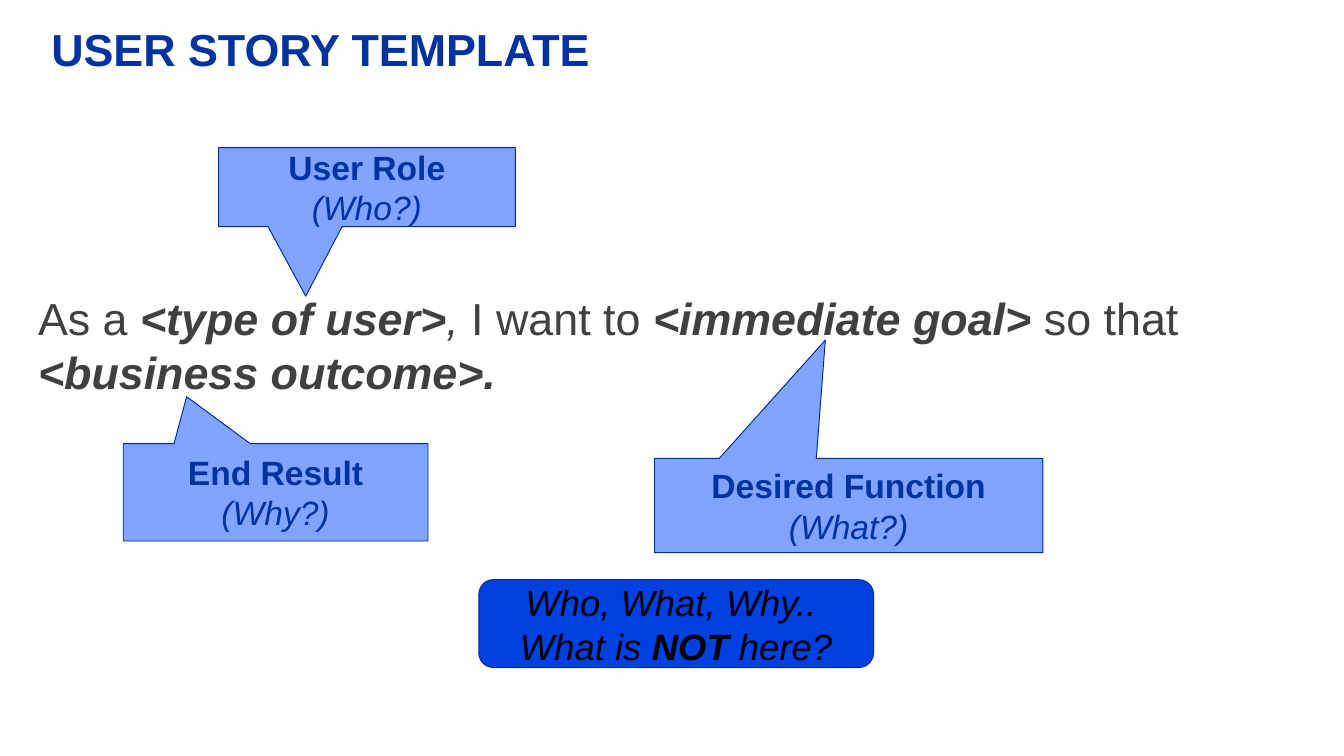
from dataclasses import dataclass

from pptx import Presentation
from pptx.dml.color import RGBColor
from pptx.enum.shapes import MSO_SHAPE
from pptx.enum.text import MSO_ANCHOR, PP_ALIGN
from pptx.shapes.autoshape import Shape
from pptx.slide import Slide
from pptx.text.text import TextFrame
from pptx.util import Cm, Pt

NAVY = RGBColor(0x00, 0x33, 0xA0)
OUTLINE = RGBColor(0x00, 0x2A, 0x96)
PALE_BLUE = RGBColor(0x80, 0xA4, 0xFF)
BRIGHT_BLUE = RGBColor(0x00, 0x3F, 0xE0)
GREY = RGBColor(0x40, 0x40, 0x40)
BLACK = RGBColor(0x00, 0x00, 0x00)

PLAIN = {"bold": False, "italic": False}
BOLD = {"bold": True, "italic": False}
ITALIC = {"bold": False, "italic": True}
BOLD_ITALIC = {"bold": True, "italic": True}

Box = tuple[float, float, float, float]
Runs = list[tuple[str, dict[str, bool]]]


@dataclass(frozen=True)
class Callout:
    """A labelled pointer: box in centimetres, tip relative to its centre."""

    heading: str
    question: str
    box: Box
    tip: tuple[float, float]


CALLOUTS = [
    Callout("User Role", "(Who?)", (4.13, 2.79, 5.61, 1.49), (-0.206, 1.383)),
    Callout("Desired Function", "(What?)", (12.37, 8.66, 7.34, 1.78), (-0.06, -1.756)),
    Callout("End Result", "(Why?)", (2.33, 8.38, 5.76, 1.84), (-0.292, -0.982)),
]


def write_runs(frame: TextFrame, runs: Runs, size: float, color: RGBColor,
               **paragraph_format: object) -> None:
    """Fill the first paragraph; a newline run becomes a line break."""
    frame.word_wrap = True
    paragraph = frame.paragraphs[0]
    for name, value in paragraph_format.items():
        setattr(paragraph, name, value)
    for text, style in runs:
        if text == "\n":
            paragraph.add_line_break()
            continue
        run = paragraph.add_run()
        run.text = text
        run.font.color.rgb = color
        for name, value in {"name": "Arial", "size": Pt(size), **style}.items():
            setattr(run.font, name, value)


def add_text(slide: Slide, box: Box, top_margin: float = 0) -> TextFrame:
    """Add a top-anchored text box without side margins and return its frame."""
    frame = slide.shapes.add_textbox(*map(Cm, box)).text_frame
    frame_format = {"margin_left": 0, "margin_right": 0, "margin_bottom": 0,
                    "margin_top": Cm(top_margin), "vertical_anchor": MSO_ANCHOR.TOP}
    for name, value in frame_format.items():
        setattr(frame, name, value)
    return frame


def add_panel(slide: Slide, kind: MSO_SHAPE, box: Box, fill: RGBColor) -> Shape:
    """Add a filled, thinly outlined shape with vertically centred text."""
    shape = slide.shapes.add_shape(kind, *map(Cm, box))
    shape.shadow.inherit = False
    shape.fill.solid()
    shape.fill.fore_color.rgb = fill
    shape.line.color.rgb = OUTLINE
    shape.line.width = Pt(0.5)
    shape.text_frame.vertical_anchor = MSO_ANCHOR.MIDDLE
    return shape


def add_callout(slide: Slide, callout: Callout) -> None:
    """Draw one callout with its heading and question."""
    shape = add_panel(slide, MSO_SHAPE.RECTANGULAR_CALLOUT, callout.box, PALE_BLUE)
    for index, value in enumerate(callout.tip):
        shape.adjustments[index] = value
    runs = [(f"{callout.heading} ", BOLD), (callout.question, ITALIC)]
    write_runs(shape.text_frame, runs, 18, NAVY, alignment=PP_ALIGN.CENTER)


def build() -> None:
    """Build and save the slide."""
    presentation = Presentation()
    presentation.slide_width, presentation.slide_height = Cm(25.4), Cm(14.28)
    slide = presentation.slides.add_slide(presentation.slide_layouts[6])

    title = add_text(slide, (0.97, 0.53, 20.27, 1.02))
    write_runs(title, [("USER STORY TEMPLATE", BOLD)], 24, NAVY, line_spacing=0.9)

    story = add_text(slide, (0.72, 4.29, 24.46, 4.6), top_margin=1.21)
    story_runs = [
        ("As a ", PLAIN), ("<type of user>", BOLD_ITALIC), (", ", ITALIC),
        ("I want to ", PLAIN), ("<immediate goal> ", BOLD_ITALIC),
        ("so that ", PLAIN), ("<business outcome>.", BOLD_ITALIC),
    ]
    write_runs(story, story_runs, 24, GREY, line_spacing=1.0)

    for callout in CALLOUTS:
        add_callout(slide, callout)

    prompt = add_panel(slide, MSO_SHAPE.ROUNDED_RECTANGLE, (9.05, 10.95, 7.46, 1.66),
                       BRIGHT_BLUE)
    prompt_runs = [("Who, What, Why.. ", ITALIC), ("\n", ITALIC), ("What is ", ITALIC),
                   ("NOT ", BOLD_ITALIC), ("here?", ITALIC)]
    write_runs(prompt.text_frame, prompt_runs, 19.5, BLACK, alignment=PP_ALIGN.CENTER)

    presentation.save("out.pptx")


build()
